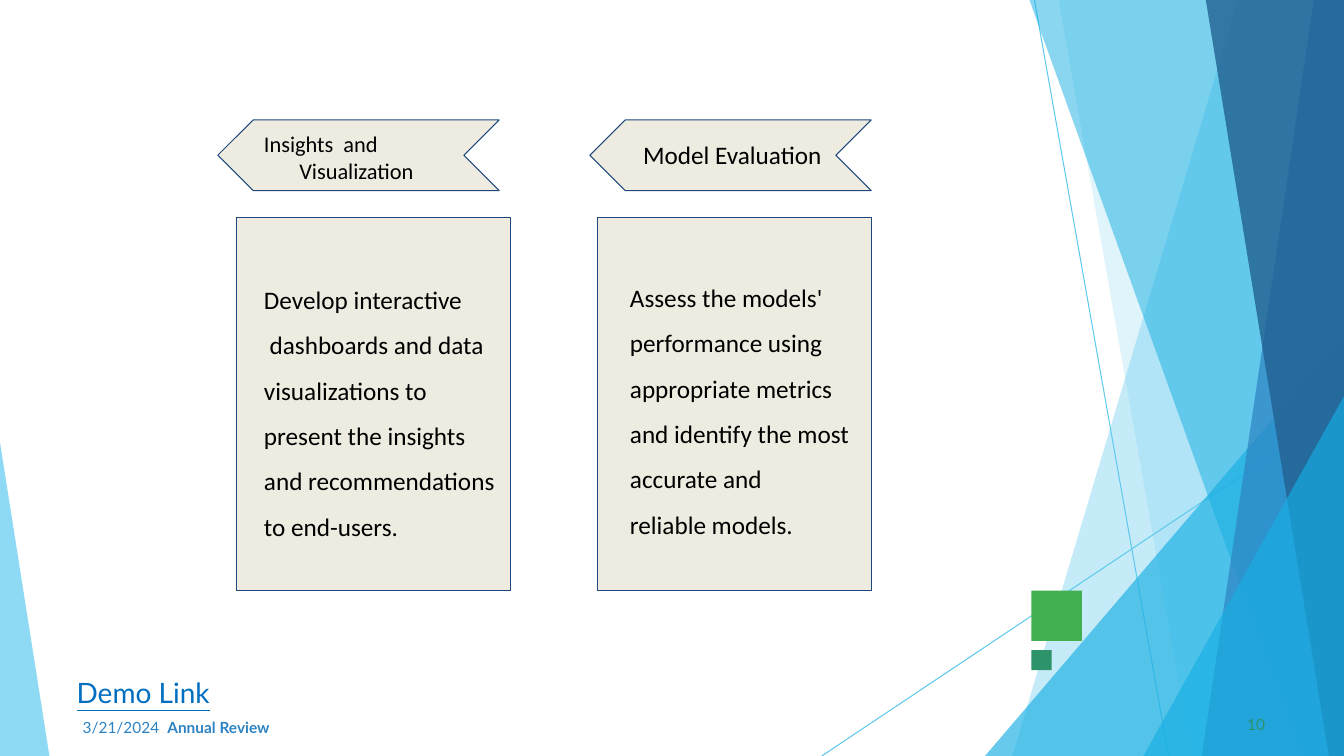
from dataclasses import dataclass

from pptx import Presentation
from pptx.dml.color import RGBColor
from pptx.enum.shapes import MSO_CONNECTOR, MSO_SHAPE
from pptx.enum.text import MSO_AUTO_SIZE
from pptx.oxml.ns import qn
from pptx.oxml.xmlchemy import OxmlElement
from pptx.util import Inches, Pt

STRAIGHT = MSO_CONNECTOR.STRAIGHT
CHEVRON, RECT = MSO_SHAPE.CHEVRON, MSO_SHAPE.RECTANGLE
GROW = MSO_AUTO_SIZE.SHAPE_TO_FIT_TEXT


@dataclass(frozen=True)
class Theme:
    sky: str = "5FCAEE"
    cyan: str = "17AFE3"
    blue: str = "2D83C3"
    navy: str = "226192"
    green: str = "42AF51"
    teal: str = "2D936B"
    link: str = "006FC0"
    sand: str = "EEECE1"
    edge: str = "1F497D"
    ink: str = "000000"
    body: str = "Calibri"
    foot: str = "Lato"
    small: int = 11
    label: int = 16
    text: int = 18
    large: int = 20
    rule: float = 0.75


T = Theme()
WIDE, HIGH = 13.33, 7.5


def rgb(code):
    return RGBColor.from_string(code)


def paint(shape, color, alpha=100, edge=None):
    """Fill a shape; alpha is its opacity in percent."""
    shape.shadow.inherit = False
    shape.fill.solid()
    shape.fill.fore_color.rgb = rgb(color)
    if alpha < 100:
        node = OxmlElement("a:alpha")
        node.set("val", str(alpha * 1000))
        shape.element.spPr.find(".//" + qn("a:srgbClr")).append(node)
    if edge:
        shape.line.color.rgb = rgb(edge)
        shape.line.width = Pt(T.rule)
    else:
        shape.line.fill.background()


def block(slide, kind, box, color, edge=None):
    shape = slide.shapes.add_shape(kind, *map(Inches, box))
    paint(shape, color, edge=edge)
    return shape


def write(slide, box, lines, size, font, color, inset=(0, 0, 0, 0), space=None):
    """Add a text box with one paragraph per line and return its paragraphs."""
    shape = slide.shapes.add_textbox(*map(Inches, box))
    frame = shape.text_frame
    frame.word_wrap = True
    frame.auto_size = GROW
    (frame.margin_left, frame.margin_top,
     frame.margin_right, frame.margin_bottom) = map(Inches, inset)
    frame.text = "\n".join(lines)
    for para in frame.paragraphs:
        para.font.size = Pt(size)
        para.font.name = font
        para.font.color.rgb = rgb(color)
        para.line_spacing = space
    return frame.paragraphs


def facets(slide, box):
    """Draw the thin lines and translucent panes that frame the slide."""
    left, top, width, height = box
    right, base = left + width, top + height

    def line(x1, y1, x2, y2):
        rule = slide.shapes.add_connector(
            STRAIGHT, *map(Inches, (x1, y1, x2, y2)))
        rule.line.color.rgb = rgb(T.sky)
        rule.line.width = Pt(T.rule)
        rule.element.spPr.append(OxmlElement("a:effectLst"))

    def pane(points, color, alpha):
        first, *rest = [(Inches(x), Inches(y)) for x, y in points]
        form = slide.shapes.build_freeform(*first)
        form.add_line_segments(rest, close=True)
        paint(form.convert_to_shape(), color, alpha)

    line(left + 10.26, top, left + 11.59, base)
    line(right, top + 4.04, left + 8.15, base)

    bands = [  # top x, bottom x, colour, opacity
        (12.28, 10.04, T.sky, 36),
        (10.5, 11.82, T.sky, 20),
        (10.21, 12.91, T.cyan, 50),
        (13.03, 11.92, T.blue, 70),
        (11.96, 13.18, T.navy, 80),
    ]
    panes = [([(right, top), (left + high, top), (left + low, base),
               (right, base)], color, alpha)
             for high, low, color, alpha in bands]
    wedges = [([(right, top + y), (left + x, base), (right, base)], T.cyan, 65)
              for x, y in ((9.77, 3.33), (11.34, 3.93))]
    panes.insert(2, wedges[0])
    panes.append(wedges[1])
    panes.append(([(left, top + 4.39), (left, base), (left + 0.49, base)],
                  T.sky, 70))
    for item in panes:
        pane(*item)


def footer(slide, box):
    left, top, width, height = box
    base = top + height
    date, = write(slide, (left + 0.82, base - 0.41, 1.94, 0.18),
                  ["3/21/2024  "], T.small, T.foot, T.blue, space=1.16)
    run = date.add_run()
    run.text = "Annual Review"
    run.font.bold = True

    for y, side, color in ((1.64, 0.5, T.green), (1.05, 0.2, T.teal)):
        block(slide, RECT, (left + 10.23, base - y, side, side), color)

    write(slide, (left + width - 1, base - 0.42, 0.25, 0.21), ["10"],
          T.small, T.foot, T.teal, (0.04, 0.01, 0, 0))
    link, = write(slide, (left + 0.75, base - 0.82, 1.35, 0.37), ["Demo Link"],
                  T.large, T.foot, T.link, (0.01, 0.02, 0, 0))
    link.font.underline = True


def column(slide, box, head, head_box, size, body, body_box):
    """Draw an arrow heading over a card; text boxes are offset from the box."""
    left, top, width, height = box
    arrow = block(slide, CHEVRON, (left, top, 2.79, 0.7), T.sand, T.edge)
    arrow.rotation = 180
    block(slide, RECT, (left + width - 2.71, top + 0.97, 2.71, height - 0.97),
          T.sand, T.edge)

    def label(area, lines, points, space=None):
        x, y, w, h = area
        return write(slide, (left + x, top + y, w, h), lines, points,
                     T.body, T.ink, (0.1,) * 4, space)

    for step, para in enumerate(label(head_box, head, size)):
        para._p.get_or_add_pPr().set("marL", str(Inches(0.35) * step))
    label(body_box, body, T.text, 1.5)


def main():
    deck = Presentation()
    deck.slide_width, deck.slide_height = Inches(WIDE), Inches(HIGH)
    slide = deck.slides.add_slide(deck.slide_layouts[6])
    page = (0, 0, WIDE, HIGH)
    facets(slide, page)
    footer(slide, page)
    column(slide, (5.85, 1.19, 2.79, 4.67),
           ["Model Evaluation"], (0.43, 0.09, 6.05, 0.5), T.text,
           ["Assess the models'", "performance using",
            "appropriate metrics \vand identify the most",
            "accurate and", "reliable models."],
           (0.3, 1.36, 6.64, 3.23))
    column(slide, (2.16, 1.19, 2.9, 4.67),
           ["Insights  and", "Visualization"], (0.36, 0, 9.13, 0.74), T.label,
           ["Develop interactive", " dashboards and data",
            "visualizations to", "present the insights",
            "and recommendations", "to end-users."],
           (0.36, 1.38, 9.13, 3.23))
    deck.save("out.pptx")


if __name__ == "__main__":
    main()
